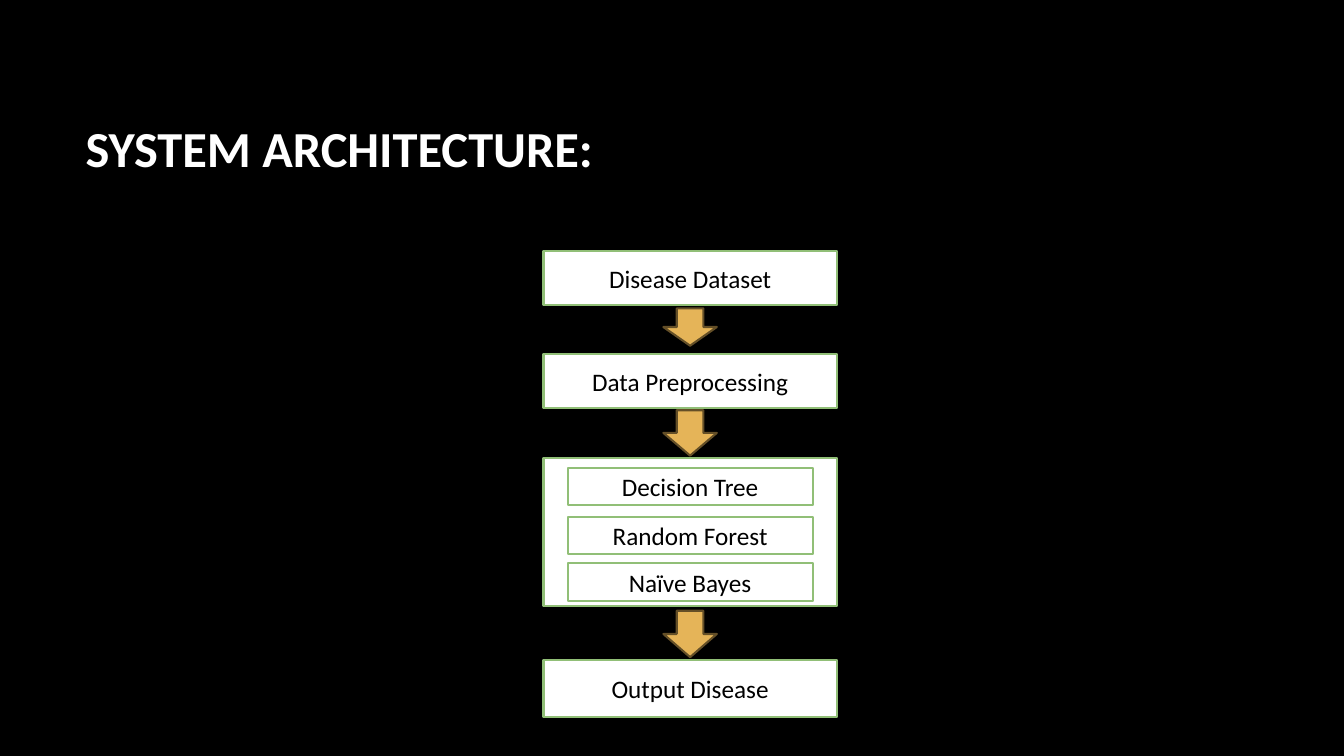
"""Build the system architecture slide."""
from pptx import Presentation
from pptx.dml.color import RGBColor
from pptx.enum.shapes import MSO_SHAPE
from pptx.enum.text import MSO_ANCHOR, PP_ALIGN
from pptx.util import Inches, Pt

BLACK = RGBColor(0x00, 0x00, 0x00)
WHITE = RGBColor(0xFF, 0xFF, 0xFF)
GREEN = RGBColor(0x91, 0xBF, 0x77)
GOLD = RGBColor(0xE5, 0xB4, 0x58)
BROWN = RGBColor(0x64, 0x4F, 0x27)

CENTER = 6.845
STAGE_WIDTH, MODEL_WIDTH, ARROW_WIDTH = 2.91, 2.43, 0.53
MODEL_HEIGHT = 0.37

STAGES = [
    ("Disease Dataset", 2.49, 0.54),
    ("Data Preprocessing", 3.51, 0.54),
    ("", 4.54, 1.47),
    ("Output Disease", 6.55, 0.56),
]
MODELS = [("Decision Tree", 4.64), ("Random Forest", 5.13), ("Naïve Bayes", 5.59)]
ARROWS = [(3.06, 0.37), (4.07, 0.45), (6.06, 0.46)]


def write_text(tf, text, size=18, color=BLACK, bold=False, align=PP_ALIGN.CENTER):
    """Write one formatted line, centred vertically in its frame."""
    tf.word_wrap = True
    tf.vertical_anchor = MSO_ANCHOR.MIDDLE
    p = tf.paragraphs[0]
    p.alignment = align
    r = p.add_run()
    r.text = text
    r.font.name = "Calibri"
    r.font.size = Pt(size)
    r.font.bold = bold
    r.font.color.rgb = color


def add_centered(slide, kind, top, width, height, fill, line):
    """Add an outlined shape on the axis of the flow."""
    sp = slide.shapes.add_shape(kind, Inches(CENTER - width / 2), Inches(top),
                                Inches(width), Inches(height))
    sp.shadow.inherit = False
    sp.fill.solid()
    sp.fill.fore_color.rgb = fill
    sp.line.color.rgb = line
    sp.line.width = Pt(1.5)
    return sp


def add_box(slide, text, top, width, height):
    """Add a white box with an optional label."""
    sp = add_centered(slide, MSO_SHAPE.RECTANGLE, top, width, height, WHITE, GREEN)
    if text:
        write_text(sp.text_frame, text)


def add_title(slide, text):
    """Place and fill the title placeholder."""
    sp = slide.shapes.title
    sp.left, sp.top = Inches(0.75), Inches(0.67)
    sp.width, sp.height = Inches(11.08), Inches(1.59)
    write_text(sp.text_frame, text, size=36, color=WHITE, bold=True, align=PP_ALIGN.LEFT)


def main():
    """Create the slide and save it."""
    prs = Presentation()
    prs.slide_width, prs.slide_height = Inches(13.33), Inches(7.5)
    slide = prs.slides.add_slide(prs.slide_layouts[5])
    slide.background.fill.solid()
    slide.background.fill.fore_color.rgb = BLACK
    add_title(slide, "SYSTEM ARCHITECTURE:")
    for text, top, height in STAGES:
        add_box(slide, text, top, STAGE_WIDTH, height)
    for text, top in MODELS:
        add_box(slide, text, top, MODEL_WIDTH, MODEL_HEIGHT)
    for top, height in ARROWS:
        add_centered(slide, MSO_SHAPE.DOWN_ARROW, top, ARROW_WIDTH, height, GOLD, BROWN)
    prs.save("out.pptx")


if __name__ == "__main__":
    main()
